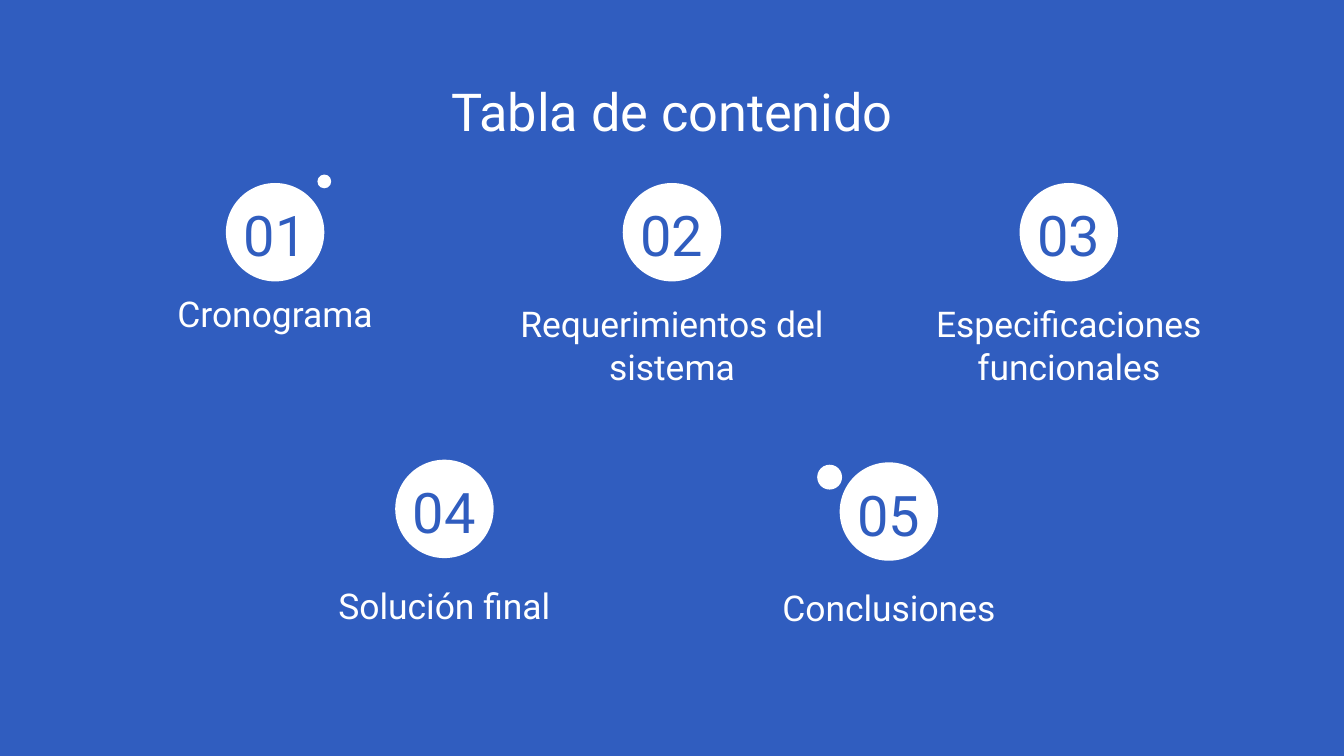
import pptx
import pptx.dml.color
import pptx.enum.shapes
import pptx.enum.text
import pptx.util

Cm = pptx.util.Cm
ANCHOR = pptx.enum.text.MSO_ANCHOR

BLUE, WHITE = "305DBF", "FFFFFF"
CIRCLE = 1.86
LABEL_W, LABEL_H = 6.73, 1.17
INSET = 0.25

TITLE = {"size": pptx.util.Pt(28), "name": "Roboto"}
NUMBER = {"size": pptx.util.Pt(30), "name": "Roboto"}
LABEL = {"size": pptx.util.Pt(19), "name": "Roboto"}

# Centre of the circle, its top, top of the label, label
TOPICS = [
    (5.2, 3.46, 5.28, "Cronograma"),
    (12.7, 3.46, 5.46, "Requerimientos del sistema"),
    (20.2, 3.46, 5.46, "Especificaciones funcionales"),
    (8.4, 8.69, 10.8, "Solución final"),
    (16.8, 8.74, 10.82, "Conclusiones"),
]

# Centre x, centre y, diameter
DOTS = [(6.13, 3.43, 0.26), (15.68, 9.02, 0.47)]


def paint(fmt, color):
    """Set a solid colour on a fill."""
    fmt.solid()
    fmt.fore_color.rgb = pptx.dml.color.RGBColor.from_string(color)


def add_circle(s, cx, cy, diameter):
    sp = s.shapes.add_shape(
        pptx.enum.shapes.MSO_SHAPE.OVAL,
        Cm(cx - diameter / 2), Cm(cy - diameter / 2), Cm(diameter), Cm(diameter),
    )
    sp.shadow.inherit = False
    sp.line.fill.background()
    paint(sp.fill, WHITE)


def add_text(s, text, cx, top, width, height, font, color, anchor=ANCHOR.TOP):
    """Add a centred text box around the vertical axis cx."""
    sp = s.shapes.add_textbox(Cm(cx - width / 2), Cm(top), Cm(width), Cm(height))
    tf = sp.text_frame
    tf.word_wrap = True
    tf.vertical_anchor = anchor
    for side in ("left", "top", "right", "bottom"):
        setattr(tf, f"margin_{side}", Cm(INSET))
    p = tf.paragraphs[0]
    p.alignment = pptx.enum.text.PP_ALIGN.CENTER
    r = p.add_run()
    r.text = text
    for name, value in font.items():
        setattr(r.font, name, value)
    paint(r.font.fill, color)


def add_topic(s, number, cx, top, label_top, label):
    add_circle(s, cx, top + CIRCLE / 2, CIRCLE)
    add_text(s, f"{number:02}", cx, top, CIRCLE, CIRCLE, NUMBER, BLUE, ANCHOR.BOTTOM)
    add_text(s, label, cx, label_top, LABEL_W, LABEL_H, LABEL, WHITE)


def main():
    prs = pptx.Presentation()
    prs.slide_width, prs.slide_height = Cm(25.4), Cm(14.29)
    s = prs.slides.add_slide(prs.slide_layouts[6])
    paint(s.background.fill, BLUE)

    add_text(s, "Tabla de contenido", 12.7, 1.24, 23.67, 1.6, TITLE, WHITE)
    for number, topic in enumerate(TOPICS, start=1):
        add_topic(s, number, *topic)
    for dot in DOTS:
        add_circle(s, *dot)

    prs.save("out.pptx")


if __name__ == "__main__":
    main()
